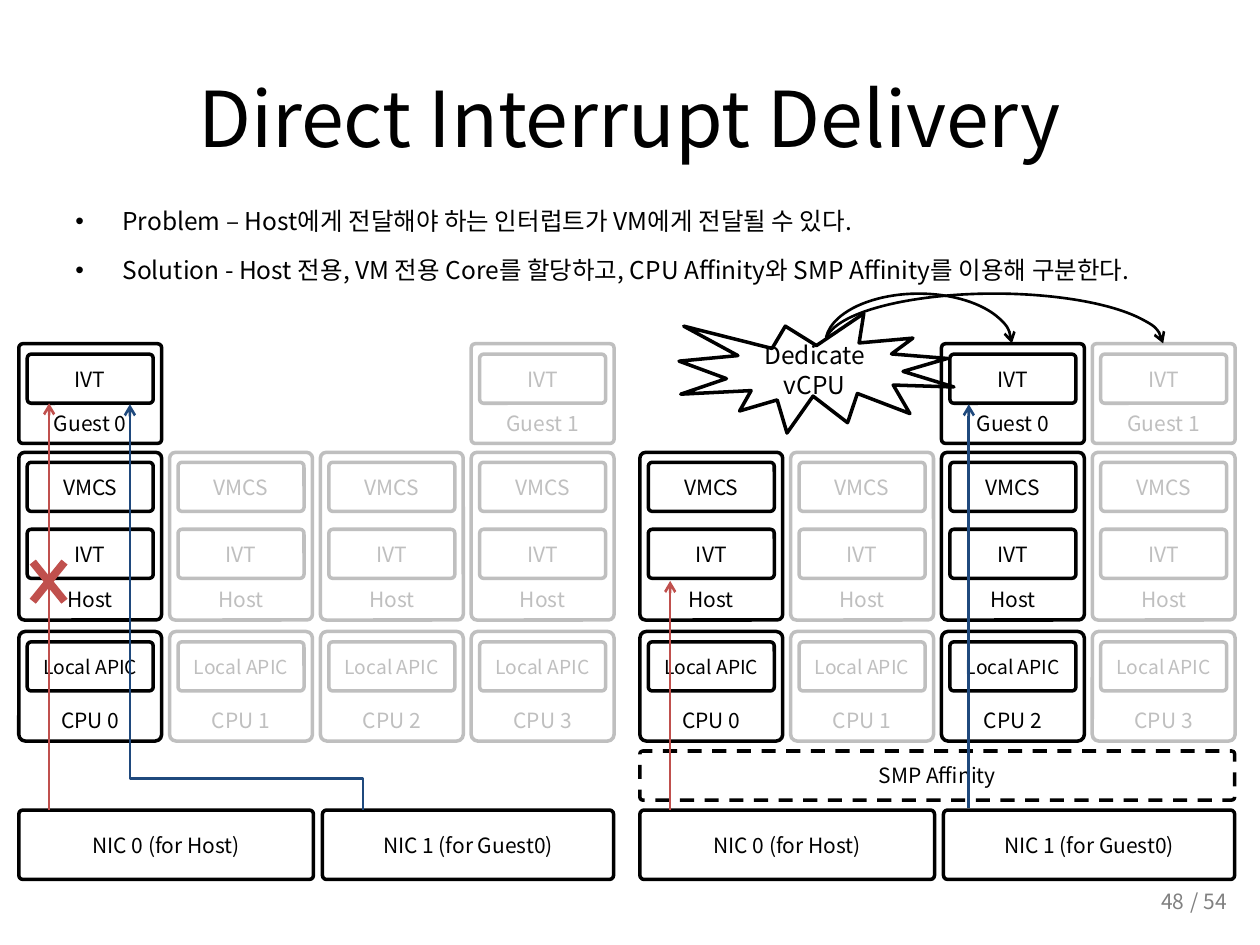
from dataclasses import dataclass

from lxml.etree import SubElement
from pptx import Presentation
from pptx.dml.color import RGBColor
from pptx.enum.dml import MSO_LINE
from pptx.enum.shapes import MSO_CONNECTOR, MSO_SHAPE
from pptx.enum.text import MSO_ANCHOR, PP_ALIGN
from pptx.oxml.ns import qn
from pptx.util import Cm, Pt


@dataclass(frozen=True)
class Theme:
    font: str = "Noto Sans CJK KR"
    active: str = "000000"
    idle: str = "BFBFBF"
    paper: str = "FFFFFF"
    page: str = "808080"
    host_path: str = "C0504D"
    guest_path: str = "1F497D"
    title_size: float = 44
    body_size: float = 14
    label_size: float = 12
    small_size: float = 11
    box_line: float = 2
    arrow_line: float = 1.5
    cross_line: float = 4.5


theme = Theme()


def write(paragraph, text, size, color, align=PP_ALIGN.CENTER):
    paragraph.alignment = align
    run = paragraph.add_run()
    run.text = text
    run.font.size = Pt(size)
    run.font.name = theme.font
    run.font.color.rgb = RGBColor.from_string(color)
    SubElement(run._r.get_or_add_rPr(), qn("a:ea"), typeface=theme.font)


def add_box(place, text, color=theme.active, radius=0.06, anchor=MSO_ANCHOR.MIDDLE,
            size=theme.label_size, kind=MSO_SHAPE.ROUNDED_RECTANGLE):
    box = slide.shapes.add_shape(kind, *map(Cm, place))
    box.shadow.inherit = False
    box.fill.solid()
    box.fill.fore_color.rgb = RGBColor.from_string(theme.paper)
    box.line.color.rgb = RGBColor.from_string(color)
    box.line.width = Pt(theme.box_line)
    if kind == MSO_SHAPE.ROUNDED_RECTANGLE:
        box.adjustments[0] = radius
        box.text_frame.margin_left = box.text_frame.margin_right = 0
    box.text_frame.word_wrap = True
    box.text_frame.vertical_anchor = anchor
    write(box.text_frame.paragraphs[0], text, size, color)
    return box


prs = Presentation()
prs.slide_width, prs.slide_height = Cm(25.4), Cm(19.05)
slide = prs.slides.add_slide(prs.slide_layouts[6])

# Title and page number
for place, text, size, color, align, anchor in (
    ((1.27, 0.76, 22.86, 3.18), "Direct Interrupt Delivery", theme.title_size,
     theme.active, PP_ALIGN.CENTER, MSO_ANCHOR.MIDDLE),
    ((18.21, 17.65, 5.92, 1.02), "48", theme.label_size,
     theme.page, PP_ALIGN.RIGHT, MSO_ANCHOR.MIDDLE),
    ((23.75, 17.78, 1.6, 0.76), "/ 54", theme.label_size,
     theme.page, PP_ALIGN.LEFT, MSO_ANCHOR.TOP),
):
    frame = slide.shapes.add_textbox(*map(Cm, place)).text_frame
    frame.word_wrap = True
    frame.vertical_anchor = anchor
    write(frame.paragraphs[0], text, size, color, align)

# Problem and solution
body = slide.shapes.add_textbox(Cm(1.27), Cm(3.73), Cm(22.86), Cm(12.57)).text_frame
body.word_wrap = True
for index, statement in enumerate((
    "Problem – Host에게 전달해야 하는 인터럽트가 VM에게 전달될 수 있다.",
    "Solution - Host 전용, VM 전용 Core를 할당하고, "
    "CPU Affinity와 SMP Affinity를 이용해 구분한다.",
)):
    paragraph = body.add_paragraph() if index else body.paragraphs[0]
    paragraph.line_spacing = 1.5
    if index:
        paragraph.space_before = Pt(theme.body_size * 0.2)
    properties = paragraph._p.get_or_add_pPr()
    properties.set("marL", str(Cm(0.95)))
    properties.set("indent", str(Cm(-0.95)))
    SubElement(properties, qn("a:buFont"), typeface="Arial")
    SubElement(properties, qn("a:buChar"), char="•")
    write(paragraph, statement, theme.body_size, theme.active, PP_ALIGN.LEFT)

# SMP affinity layer
affinity = add_box((12.9, 15.14, 11.99, 0.99), "SMP Affinity")
affinity.line.dash_style = MSO_LINE.DASH

# Layers: outer top, height, label, corner, and inner parts (top, label, size)
guest_layer = (6.93, 2.01, "Guest {}", 0.04, ((7.14, "IVT", theme.label_size),))
core_layers = (
    (12.73, 2.21, "CPU {}", 0.06, ((12.94, "Local APIC", theme.small_size),)),
    (9.12, 3.38, "Host", 0.04, ((10.67, "IVT", theme.label_size),
                               (9.32, "VMCS", theme.label_size))),
)

# Two panels: left edge, active cores, guest number by core
for panel_left, active_cores, guests in (
    (0.38, {0}, {0: 0, 3: 1}),
    (12.9, {0, 2}, {2: 0, 3: 1}),
):
    for core in range(4):
        left = panel_left + core * 3.04
        color = theme.active if core in active_cores else theme.idle
        layers = [(layer, core) for layer in core_layers]
        if core in guests:
            layers.append((guest_layer, guests[core]))
        for (top, height, label, radius, parts), number in layers:
            add_box((left, top, 2.88, height), label.format(number), color,
                    radius, MSO_ANCHOR.BOTTOM)
            for part_top, part, size in parts:
                add_box((left + 0.17, part_top, 2.54, 0.99), part, color, 0.08, size=size)
    add_box((panel_left, 16.33, 5.94, 1.4), "NIC 0 (for Host)")
    add_box((panel_left + 6.12, 16.33, 5.87, 1.4), "NIC 1 (for Guest0)")

# Interrupt paths, and the cross on the blocked one
arrows = []
for start_x, start_y, end_x, end_y, color, width in (
    (0.99, 16.33, 0.99, 8.13, theme.host_path, theme.arrow_line),
    (13.51, 16.33, 13.51, 11.71, theme.host_path, theme.arrow_line),
    (19.53, 16.28, 19.53, 8.15, theme.guest_path, theme.arrow_line),
    (0.66, 11.33, 1.3, 12.12, theme.host_path, theme.cross_line),
    (0.66, 12.12, 1.3, 11.33, theme.host_path, theme.cross_line),
):
    path_line = slide.shapes.add_connector(
        MSO_CONNECTOR.STRAIGHT, Cm(start_x), Cm(start_y), Cm(end_x), Cm(end_y))
    path_line.line.color.rgb = RGBColor.from_string(color)
    path_line.line.width = Pt(width)
    SubElement(path_line._element.spPr, qn("a:effectLst"))
    if width == theme.arrow_line:
        arrows.append(path_line)

# Bent path from NIC 1 to guest 0, and arcs that dedicate the vCPU
builder = slide.shapes.build_freeform(Cm(7.32), Cm(16.33))
builder.add_line_segments(
    [(Cm(x), Cm(y)) for x, y in ((7.32, 15.7), (2.62, 15.7), (2.62, 8.15))], close=False)
curves = [(builder.convert_to_shape(), theme.guest_path)]
for width, start_angle in ((3.76, 110.28), (6.81, 108.59)):
    arc = slide.shapes.add_shape(MSO_SHAPE.ARC, Cm(16.64), Cm(5.92), Cm(width), Cm(2.01))
    arc.adjustments[0], arc.adjustments[1] = start_angle, 0
    curves.append((arc, theme.active))
for curve, color in curves:
    curve.shadow.inherit = False
    curve.fill.background()
    curve.line.color.rgb = RGBColor.from_string(color)
    curve.line.width = Pt(theme.arrow_line)
    arrows.append(curve)

# Arrowheads
for arrow in arrows:
    SubElement(arrow._element.spPr.find(qn("a:ln")), qn("a:tailEnd"), type="arrow")

# Callout
add_box((13.69, 6.32, 5.54, 2.41), "Dedicate vCPU", size=theme.body_size,
        kind=MSO_SHAPE.EXPLOSION1)

prs.save("out.pptx")
